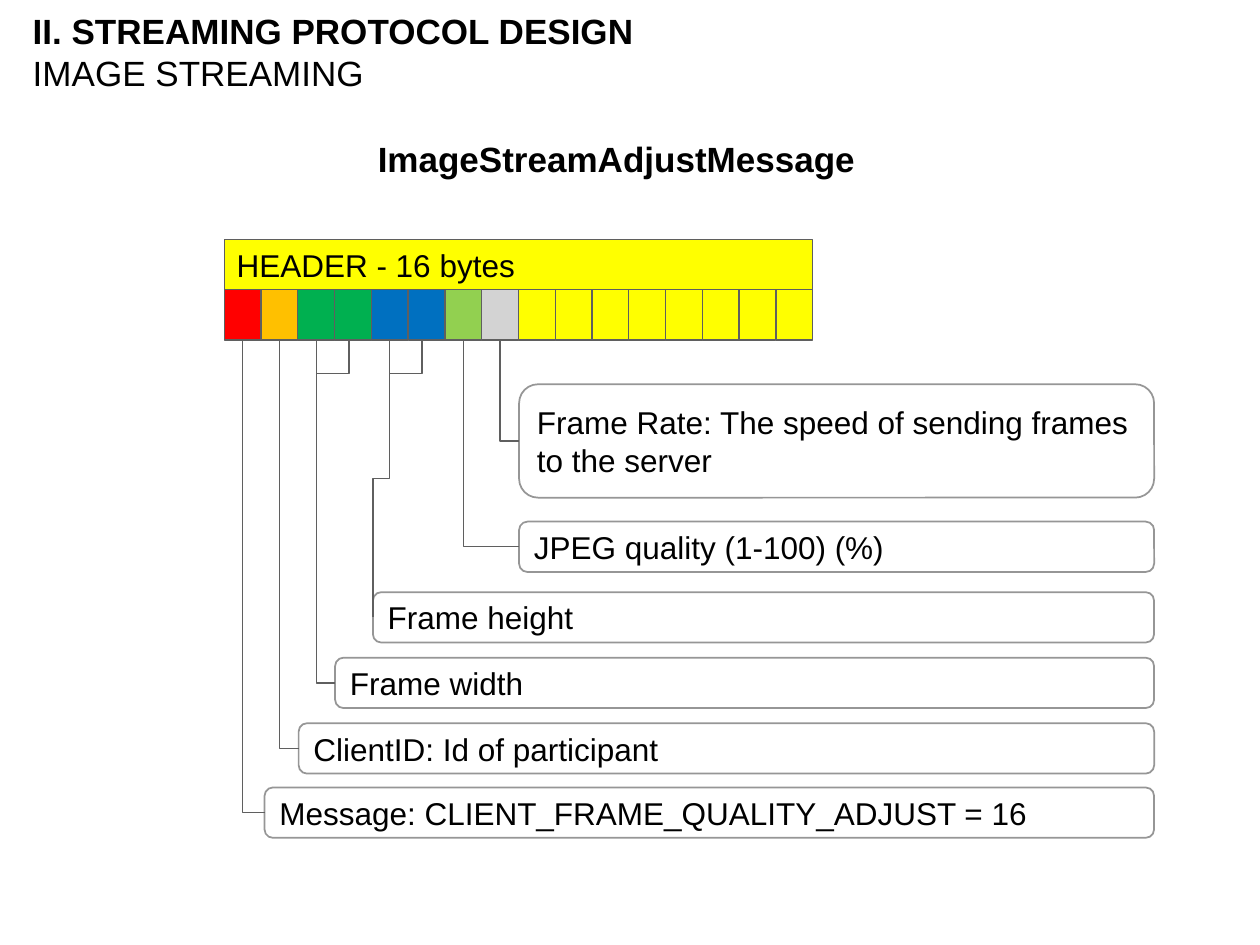
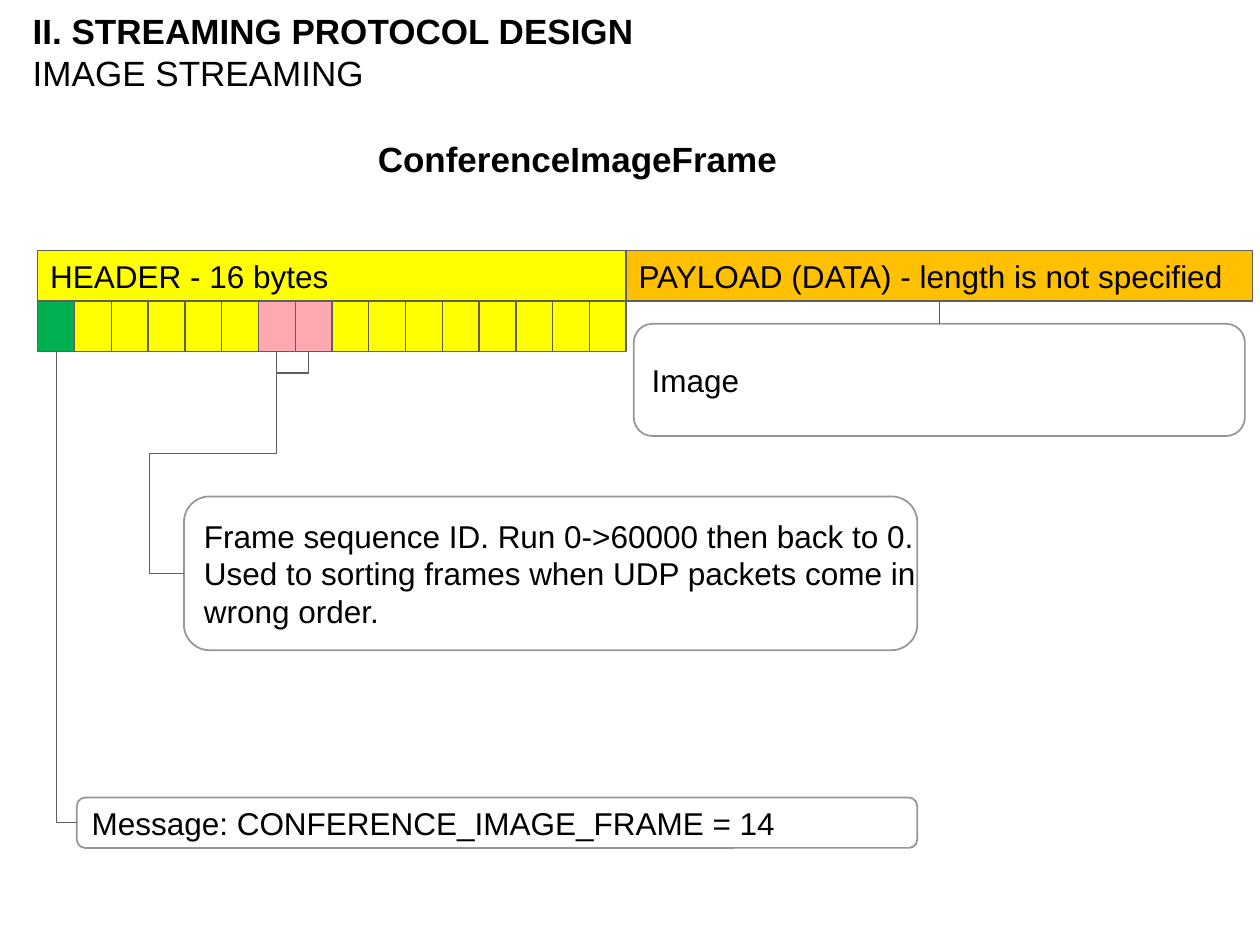
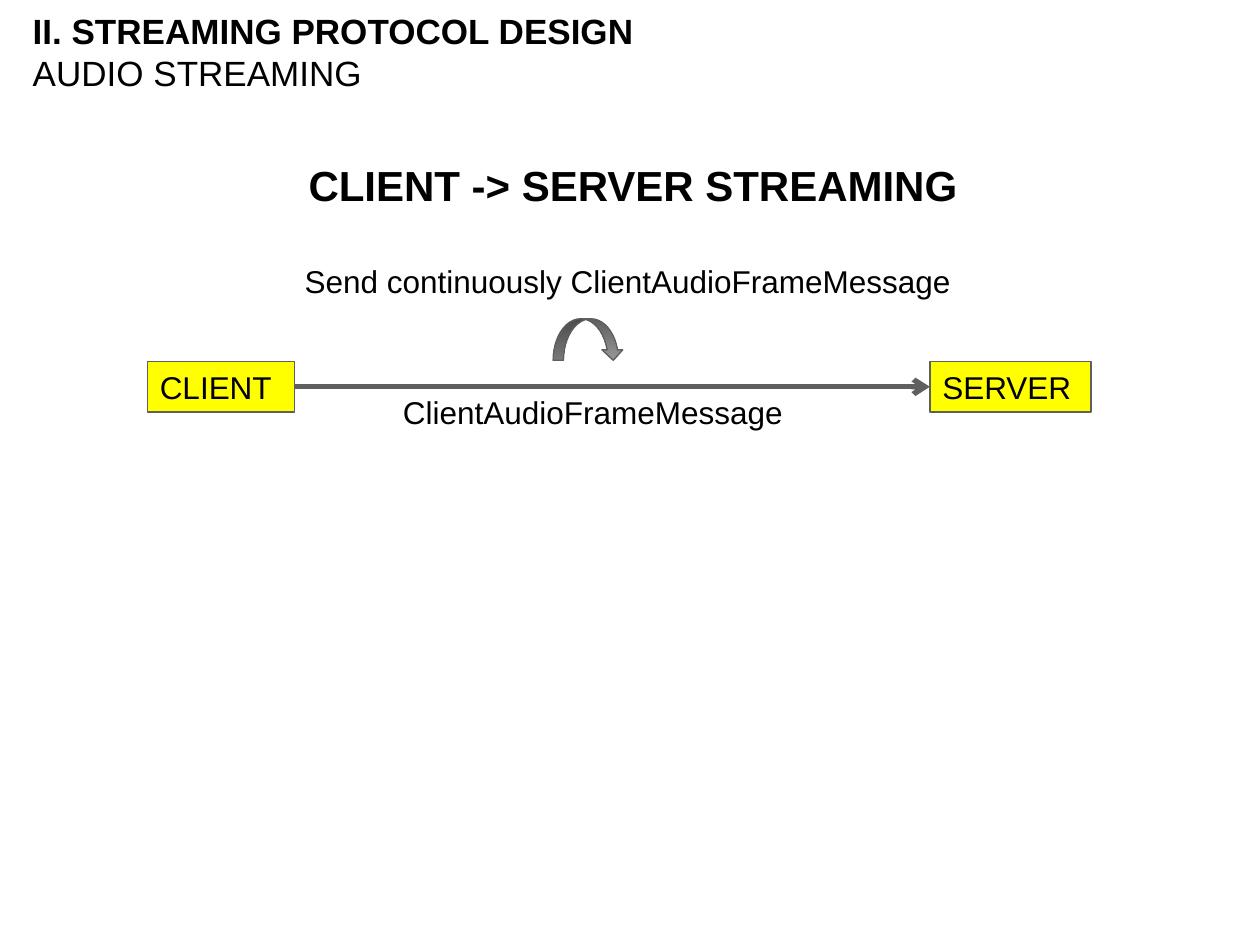
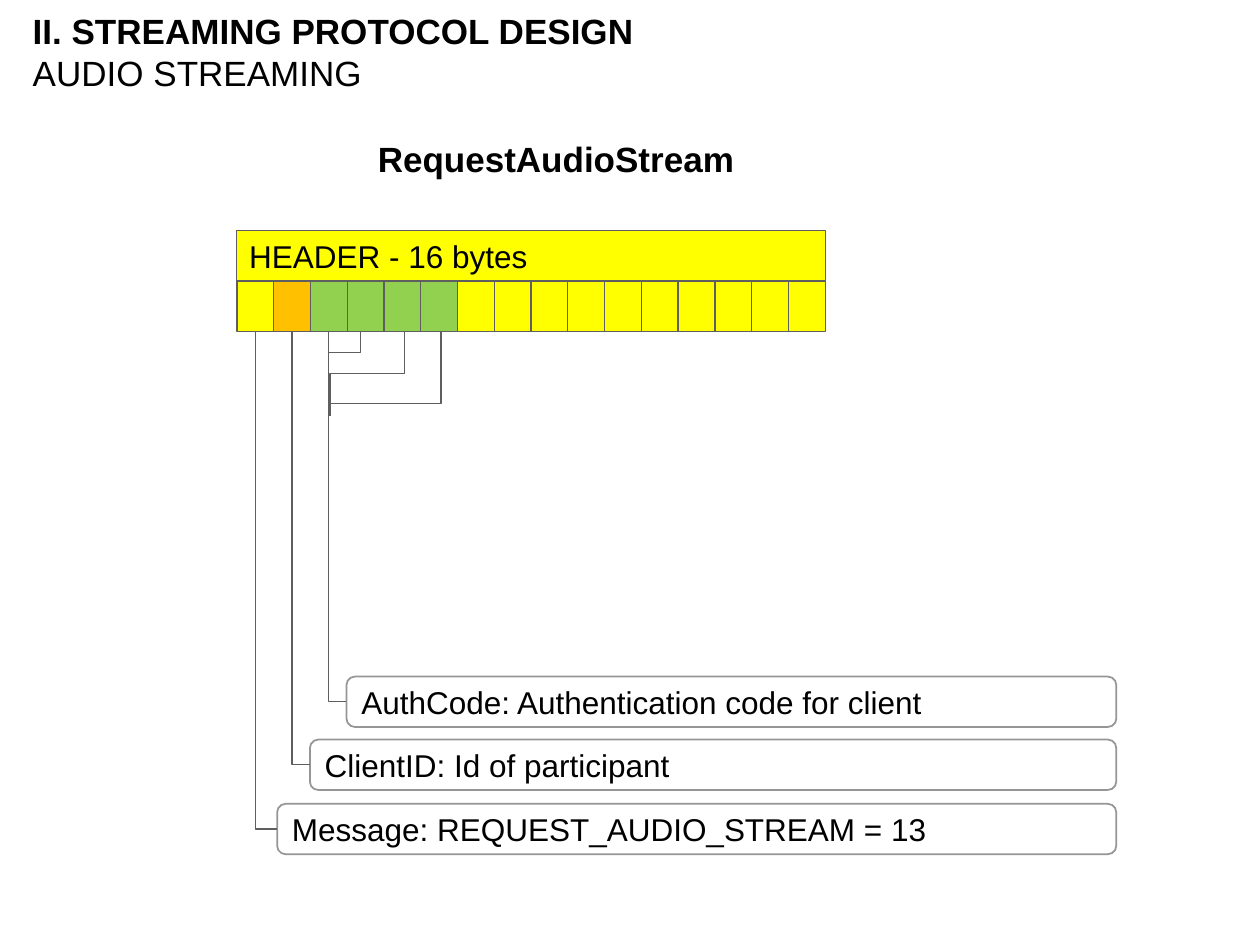
from dataclasses import dataclass

from lxml import etree
from pptx import Presentation
from pptx.dml.color import RGBColor
from pptx.enum.shapes import MSO_CONNECTOR as Connector, MSO_SHAPE as Shape
from pptx.enum.text import MSO_ANCHOR as Anchor, MSO_AUTO_SIZE as AutoSize, PP_ALIGN as Align
from pptx.oxml.ns import qn
from pptx.util import Inches, Pt

BLACK = RGBColor(0x00, 0x00, 0x00)
WHITE = RGBColor(0xFF, 0xFF, 0xFF)
DARK_GRAY = RGBColor(0x5F, 0x5F, 0x5F)
MID_GRAY = RGBColor(0x96, 0x96, 0x96)
LIGHT_GRAY = RGBColor(0xD3, 0xD3, 0xD3)
YELLOW = RGBColor(0xFF, 0xFF, 0x00)
ORANGE = RGBColor(0xFF, 0xC0, 0x00)
RED = RGBColor(0xFF, 0x00, 0x00)
GREEN = RGBColor(0x00, 0xB0, 0x50)
LIME = RGBColor(0x92, 0xD0, 0x50)
BLUE = RGBColor(0x00, 0x70, 0xC0)
PINK = RGBColor(0xFE, 0xA8, 0xB2)

FONT = "Arial"
BAR_HEIGHT = 0.4
HEADER_WIDTH = 4.67
BYTE_COUNT = 16
BYTE_WIDTH = HEADER_WIDTH / BYTE_COUNT
TITLE_ONLY_LAYOUT = 5


@dataclass
class Callout:
    """Explanation box for the header byte that a line joins it to."""
    byte: int
    left: float
    top: float
    text: str
    height: float = BAR_HEIGHT
    bend: str = "bentConnector2"
    adjustments: tuple = ()


@dataclass
class Join:
    """Line that leads a byte to its neighbour's line, from the header's lower left corner."""
    start: float
    end: float
    drop: float
    bend: str = "bentConnector3"


def write_lines(frame, text, size, bold=False):
    frame.text = text
    for paragraph in frame.paragraphs:
        paragraph.alignment = Align.LEFT
        for run in paragraph.runs:
            font = run.font
            font.name, font.size, font.bold = FONT, Pt(size), bold
            font.color.rgb = BLACK


def add_box(slide, kind, box, fill, line=DARK_GRAY, line_width=0.75, text=""):
    shape = slide.shapes.add_shape(kind, *map(Inches, box))
    shape.shadow.inherit = False
    shape.fill.solid()
    shape.fill.fore_color.rgb = fill
    shape.line.color.rgb = line
    shape.line.width = Pt(line_width)
    if text:
        shape.text_frame.word_wrap = False
        shape.text_frame.vertical_anchor = Anchor.MIDDLE
        write_lines(shape.text_frame, text, 18)
    return shape


def add_label(slide, box, text, size=18, bold=False, wrap=True):
    frame = slide.shapes.add_textbox(*map(Inches, box)).text_frame
    frame.word_wrap = wrap
    frame.auto_size = AutoSize.SHAPE_TO_FIT_TEXT
    write_lines(frame, text, size, bold)


def add_line(slide, start, end, kind=Connector.STRAIGHT, width=0.75):
    line = slide.shapes.add_connector(kind, *map(Inches, (*start, *end)))
    line.line.color.rgb = DARK_GRAY
    line.line.width = Pt(width)
    etree.SubElement(line._element.spPr, qn("a:effectLst"))
    return line


def add_bent_line(slide, start, end, bend, adjustments=()):
    """Draw an elbow line that leaves its start downwards: a level one turned by 90 degrees."""
    (x1, y1), (x2, y2) = start, end
    middle_x, middle_y = (x1 + x2) / 2, (y1 + y2) / 2
    half_length, half_rise = (y2 - y1) / 2, (x1 - x2) / 2
    line = add_line(slide, (middle_x - half_length, middle_y - half_rise),
                    (middle_x + half_length, middle_y + half_rise), Connector.ELBOW)
    properties = line._element.spPr
    properties.find(qn("a:xfrm")).set("rot", str(90 * 60000))
    geometry = properties.find(qn("a:prstGeom"))
    geometry.set("prst", bend)
    guides = geometry.find(qn("a:avLst"))
    for number, value in enumerate(adjustments, 1):
        etree.SubElement(guides, qn("a:gd"), name=f"adj{number}", fmla=f"val {round(value * 100000)}")


def add_titled_slide(presentation, subject):
    slide = presentation.slides.add_slide(presentation.slide_layouts[TITLE_ONLY_LAYOUT])
    title = slide.shapes.title
    title.left, title.top, title.width, title.height = map(Inches, (0.16, 0.09, 9, 0.64))
    frame = title.text_frame
    frame.word_wrap = True
    frame.auto_size = AutoSize.NONE
    frame.vertical_anchor = Anchor.MIDDLE
    write_lines(frame, f"II. STREAMING PROTOCOL DESIGN\n{subject}", 20)
    frame.paragraphs[0].runs[0].font.bold = True
    return slide


def add_header(slide, left, top, byte_colors):
    add_box(slide, Shape.RECTANGLE, (left, top, HEADER_WIDTH, BAR_HEIGHT), YELLOW,
            text="HEADER - 16 bytes")
    for byte in range(BYTE_COUNT):
        add_box(slide, Shape.RECTANGLE,
                (left + byte * BYTE_WIDTH, top + BAR_HEIGHT, BYTE_WIDTH, BAR_HEIGHT),
                byte_colors.get(byte, YELLOW))


def add_callout_box(slide, box, text):
    add_box(slide, Shape.ROUNDED_RECTANGLE, box, WHITE, MID_GRAY, 1, text)


def add_message_slide(presentation, subject, name, origin, byte_colors, callouts, right, joins):
    """Show a message's header bytes, with callouts that all end at the same right edge."""
    slide = add_titled_slide(presentation, subject)
    add_label(slide, (2.9, 1.04, HEADER_WIDTH, 0.44), name, 20, bold=True)
    left, top = origin
    bottom = top + 2 * BAR_HEIGHT
    add_header(slide, left, top, byte_colors)
    for callout in callouts:
        add_callout_box(slide, (callout.left, callout.top, right - callout.left, callout.height),
                        callout.text)
        add_bent_line(slide, (left + (callout.byte + 0.5) * BYTE_WIDTH, bottom),
                      (callout.left, callout.top + callout.height / 2),
                      callout.bend, callout.adjustments)
    for join in joins:
        add_bent_line(slide, (left + join.start, bottom), (left + join.end, bottom + join.drop),
                      join.bend)
    return slide


def add_payload(slide, left, top):
    width = 4.97
    add_box(slide, Shape.RECTANGLE, (left, top, width, BAR_HEIGHT), ORANGE,
            text="PAYLOAD (DATA) - length is not specified")
    add_callout_box(slide, (left + 0.06, top + 0.58, 4.85, 0.89), "Image")
    middle = left + width / 2
    add_line(slide, (middle, top + BAR_HEIGHT), (middle, top + 0.58))


def add_repeat_arrow(slide, box):
    arrow = add_box(slide, Shape.CURVED_DOWN_ARROW, box, DARK_GRAY)
    arrow.fill.gradient()
    arrow.fill.gradient_angle = 270
    for stop, position, color in zip(arrow.fill.gradient_stops, (0, 1), (DARK_GRAY, MID_GRAY)):
        stop.position = position
        stop.color.rgb = color


def add_exchange(slide, left, top):
    """Draw the client, the server and the message that runs between them."""
    client_width, server_left = 1.17, 6.21
    middle = top + BAR_HEIGHT / 2
    add_box(slide, Shape.RECTANGLE, (left, top, client_width, BAR_HEIGHT), YELLOW, text="CLIENT")
    add_box(slide, Shape.RECTANGLE, (left + server_left, top, 1.28, BAR_HEIGHT), YELLOW,
            text="SERVER")
    arrow = add_line(slide, (left + client_width, middle), (left + server_left, middle), width=3)
    etree.SubElement(arrow.line._get_or_add_ln(), qn("a:tailEnd"), type="arrow")
    add_label(slide, (left + 1.93, middle, 3.24, 0.4), "ClientAudioFrameMessage")
    add_repeat_arrow(slide, (left + 3.22, top - 0.34, 0.56, 0.33))
    add_label(slide, (left + 1.15, top - 0.84, 5.88, 0.4),
              "Send continuously ClientAudioFrameMessage")


def add_streaming_slide(presentation):
    slide = add_titled_slide(presentation, "AUDIO STREAMING")
    add_label(slide, (2.35, 1.22, 5.35, 0.5), "CLIENT -> SERVER STREAMING", 24,
              bold=True, wrap=False)
    add_exchange(slide, 1.17, 2.87)


def main():
    presentation = Presentation()
    presentation.slide_width, presentation.slide_height = Inches(10), Inches(7.5)

    add_message_slide(
        presentation, "IMAGE STREAMING", "ImageStreamAdjustMessage", (1.78, 1.9),
        {0: RED, 1: ORANGE, 2: GREEN, 3: GREEN, 4: BLUE, 5: BLUE, 6: LIME, 7: LIGHT_GRAY},
        [
            Callout(0, 2.1, 6.25, "Message: CLIENT_FRAME_QUALITY_ADJUST = 16"),
            Callout(1, 2.37, 5.74, "ClientID: Id of participant"),
            Callout(2, 2.66, 5.22, "Frame width"),
            Callout(4, 2.96, 4.7, "Frame height", bend="bentConnector3"),
            Callout(6, 4.12, 4.14, "JPEG quality (1-100) (%)"),
            Callout(7, 4.12, 3.05, "Frame Rate: The speed of sending frames\nto the server", 0.9),
        ],
        9.16,
        [Join(0.99, 0.73, 0.53), Join(1.57, 1.31, 0.53)])

    frame_slide = add_message_slide(
        presentation, "IMAGE STREAMING", "ConferenceImageFrame", (0.3, 1.99),
        {0: GREEN, 6: PINK, 7: PINK},
        [
            Callout(0, 0.61, 6.33, "Message: CONFERENCE_IMAGE_FRAME = 14"),
            Callout(6, 1.46, 3.94,
                    "Frame sequence ID. Run 0->60000 then back to 0.\n"
                    "Used to sorting frames when UDP packets come in\n"
                    "wrong order.", 1.22, "bentConnector4", (0.46, 1.37)),
        ],
        7.28,
        [Join(2.15, 1.89, 0.17, "bentConnector2")])
    add_payload(frame_slide, 4.97, 1.99)

    add_streaming_slide(presentation)

    add_message_slide(
        presentation, "AUDIO STREAMING", "RequestAudioStream", (1.88, 1.83),
        {1: ORANGE, 2: LIME, 3: LIME, 4: LIME, 5: LIME},
        [
            Callout(0, 2.2, 6.38, "Message: REQUEST_AUDIO_STREAM = 13"),
            Callout(1, 2.46, 5.87, "ClientID: Id of participant"),
            Callout(2, 2.75, 5.37, "AuthCode: Authentication code for client"),
        ],
        8.86,
        [Join(0.98, 0.73, 0.17, "bentConnector2"), Join(1.33, 0.74, 0.67), Join(1.62, 0.73, 1.15)])

    presentation.save("out.pptx")


if __name__ == "__main__":
    main()
